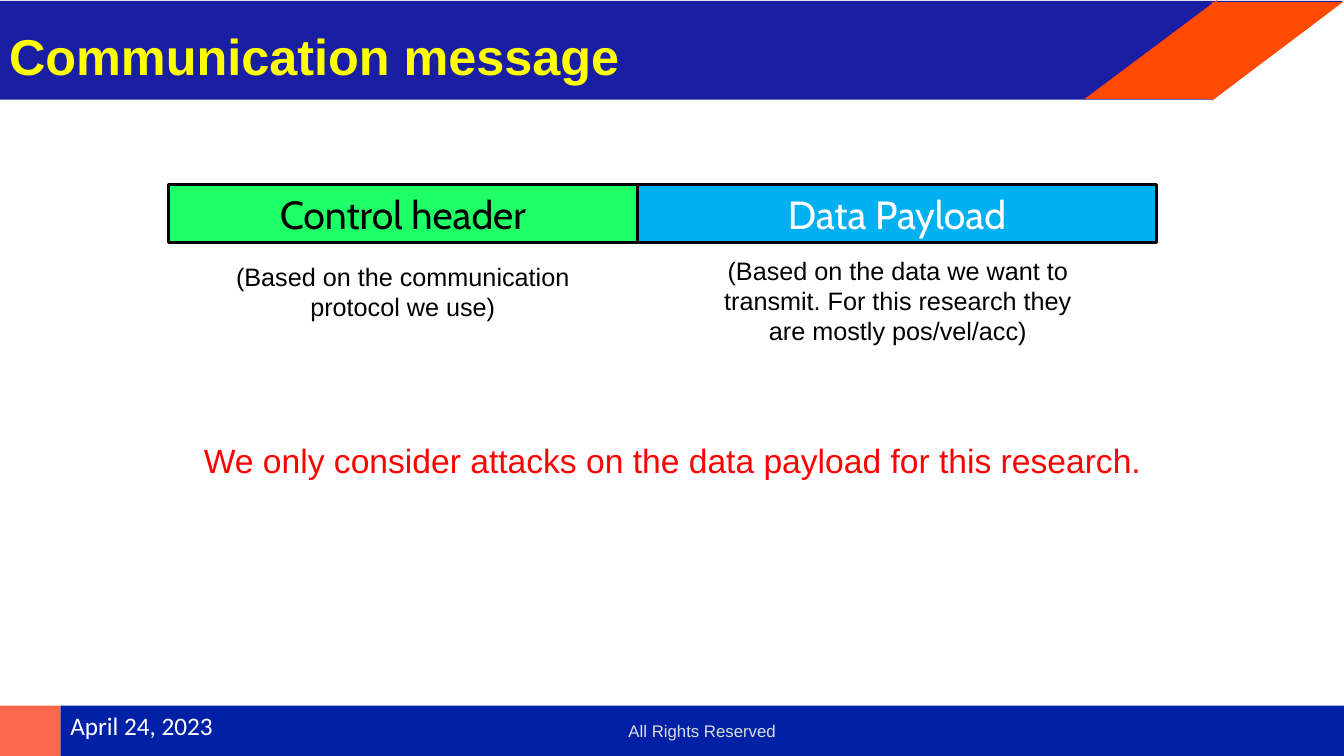
import pptx
import pptx.util
import pptx.dml.color
import pptx.enum.shapes
import pptx.enum.text
from pptx.util import Inches, Pt

ANCHOR = pptx.enum.text.MSO_ANCHOR
ALIGN = pptx.enum.text.PP_ALIGN

# Content: bars and fields as (place, fill, outlined, text, format)
HEADER_BAR = ((-0.03, 0.01, 13.35, 0.98), "191EA2", False, None, None)
HEADER_TRIANGLES = [
    ([(12.07, 0.98), (10.76, 0.98), (12.07, 0)], "FF4B01"),
    ([(13.32, 0.99), (12.02, 0.99), (13.32, 0.01)], "FFFFFF"),
    ([(12.02, 0.02), (13.32, 0.02), (12.02, 1)], "FF4B01"),
]
DATE = {"size": 18, "name": "Calibri", "color": "FFFFFF",
        "align": ALIGN.LEFT, "anchor": ANCHOR.TOP, "insets": (0.1, 0.05)}
FIELD = {"size": 28, "name": "Cabin"}
BARS = [
    ((0.6, 7, 12.74, 0.5), "0021A5", False, "April 24, 2023", DATE),
    ((0, 7, 0.6, 0.5), "FA694E", False, None, None),
    ((6.32, 1.83, 5.15, 0.58), "00B0F0", True, "Data Payload",
     {**FIELD, "color": "FFFFFF"}),
    ((1.67, 1.83, 4.65, 0.58), "1FFF66", True, "Control header", FIELD),
]

# Content: text boxes as (place, text, format)
TEXTS = [
    ((4.44, 7.09, 5.05, 0.31), "All Rights Reserved",
     {"size": 12, "color": "DCDEE0"}),
    ((0.03, -0.04, 10.57, 1.17), "Communication message",
     {"size": 36, "color": "FFFF00", "bold": True, "align": ALIGN.LEFT}),
    ((1.62, 4.3, 10.1, 0.52),
     "We only consider attacks on the data payload for this research.",
     {"size": 24, "color": "FF0000"}),
    ((2.21, 2.53, 3.57, 0.72),
     "(Based on the communication protocol we use)", {}),
    ((7.12, 2.47, 3.57, 1.02),
     "(Based on the data we want to transmit. "
     "For this research they are mostly pos/vel/acc)", {}),
]
DEFAULTS = {"size": 18, "name": "Arial", "color": "000000", "bold": False,
            "align": ALIGN.CENTER, "anchor": ANCHOR.MIDDLE,
            "insets": (0.06, 0.06)}


def color(hex_string):
    return pptx.dml.color.RGBColor.from_string(hex_string)


def write(shape, text, changes):
    style = {**DEFAULTS, **changes}
    across, down = map(Inches, style["insets"])
    frame = shape.text_frame
    frame_values = {"word_wrap": True, "vertical_anchor": style["anchor"],
                    "margin_left": across, "margin_right": across,
                    "margin_top": down, "margin_bottom": down}
    for key, value in frame_values.items():
        setattr(frame, key, value)
    para = frame.paragraphs[0]
    para.alignment = style["align"]
    span = para.add_run()
    span.text = text
    font_values = {"size": Pt(style["size"]), "name": style["name"],
                   "bold": style["bold"]}
    for key, value in font_values.items():
        setattr(span.font, key, value)
    span.font.color.rgb = color(style["color"])


def paint(shape, fill, outlined=False):
    shape.shadow.inherit = False
    shape.fill.solid()
    shape.fill.fore_color.rgb = color(fill)
    if outlined:
        shape.line.color.rgb = color("000000")
        shape.line.width = Pt(2)
    else:
        shape.line.fill.background()


def add_bar(page, place, fill, outlined, text, style):
    bar = page.shapes.add_shape(pptx.enum.shapes.MSO_SHAPE.RECTANGLE,
                                *map(Inches, place))
    paint(bar, fill, outlined)
    if text:
        write(bar, text, style)


deck = pptx.Presentation()
deck.slide_width, deck.slide_height = Inches(13.33), Inches(7.5)
page = deck.slides.add_slide(deck.slide_layouts[6])

# Header band with its slanted corner
add_bar(page, *HEADER_BAR)
for corners, fill in HEADER_TRIANGLES:
    points = [(Inches(x), Inches(y)) for x, y in corners]
    builder = page.shapes.build_freeform(*points[0])
    builder.add_line_segments(points[1:], close=True)
    paint(builder.convert_to_shape(), fill)

# Footer bars and message fields
for bar in BARS:
    add_bar(page, *bar)

# Title, notes under the fields, statement and footer text
for place, text, style in TEXTS:
    write(page.shapes.add_textbox(*map(Inches, place)), text, style)

deck.save("out.pptx")
